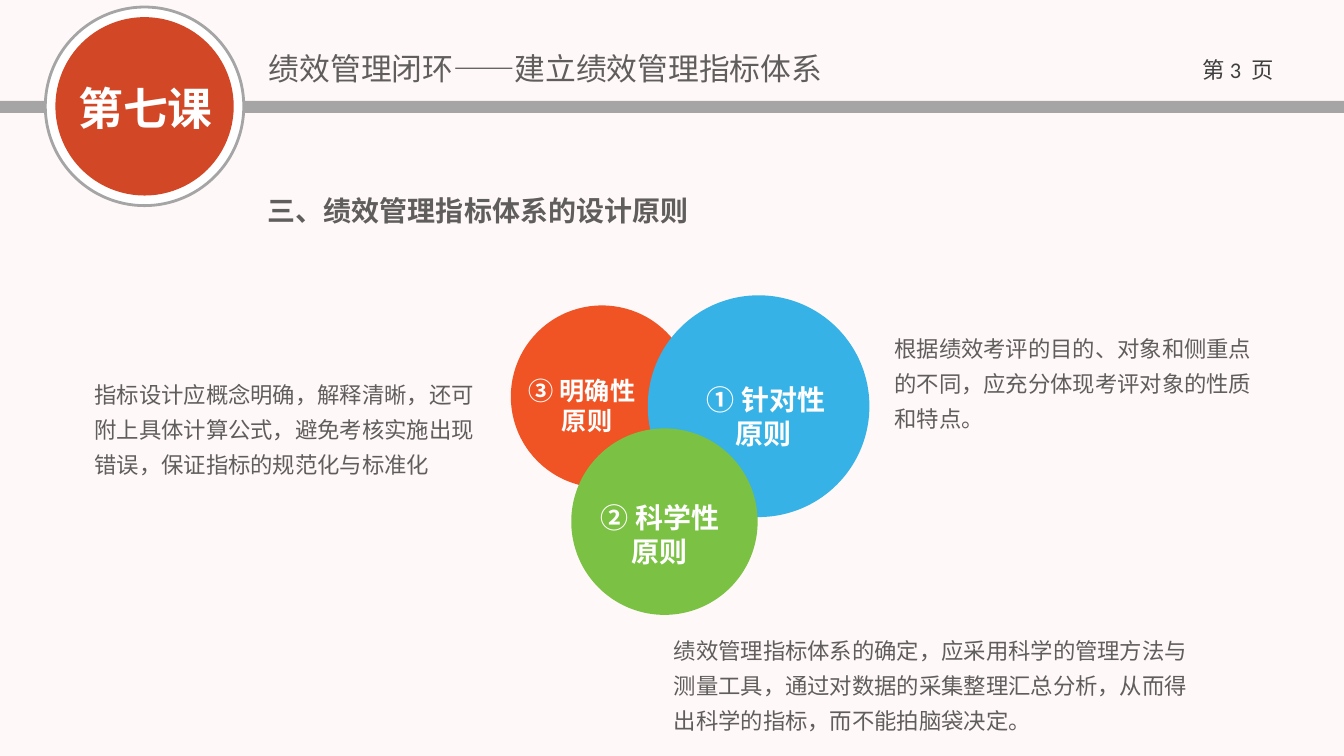
import pptx
import pptx.dml.color
import pptx.enum.shapes
import pptx.enum.text
import pptx.oxml
import pptx.oxml.ns
import pptx.util

Inches = pptx.util.Inches
Pt = pptx.util.Pt
ALIGN = pptx.enum.text.PP_ALIGN
OVAL = pptx.enum.shapes.MSO_SHAPE.OVAL
RECTANGLE = pptx.enum.shapes.MSO_SHAPE.RECTANGLE
CJK = "Noto Sans CJK SC"
GREY = "5F5E5C"
WHITE = "FFFFFF"
RULE = "A5A5A5"


def color(value):
    return pptx.dml.color.RGBColor.from_string(value)


def add_figure(s, kind, box, fill, line=None):
    sp = s.shapes.add_shape(kind, *map(Inches, box))
    sp.shadow.inherit = False
    sp.fill.solid()
    sp.fill.fore_color.rgb = color(fill)
    if line:
        sp.line.color.rgb = color(line)
        sp.line.width = Pt(2)
    else:
        sp.line.fill.background()
    return sp


def add_frame(s, box):
    tf = s.shapes.add_textbox(*map(Inches, box)).text_frame
    tf.word_wrap = True
    return tf


def add_run(p, text, size, hue, bold=False, font=CJK):
    r = p.add_run()
    r.text = text
    r.font.size = Pt(size)
    r.font.bold = bold
    r.font.color.rgb = color(hue)
    r.font.name = font
    ea = pptx.oxml.parse_xml(
        f'<a:ea {pptx.oxml.ns.nsdecls("a")} typeface="{CJK}"/>')
    r.font._element.append(ea)
    return r


def add_text(s, box, text, size, hue=GREY, bold=False, spacing=None):
    p = add_frame(s, box).paragraphs[0]
    if spacing:
        p.line_spacing = spacing
    add_run(p, text, size, hue, bold)


def add_header(s, left, top, width):
    add_figure(s, RECTANGLE, (left, top + 1, width, 0.12), RULE)
    add_figure(s, OVAL, (left + 0.45, top + 0.07, 1.97, 1.97), WHITE, RULE)
    add_figure(s, OVAL, (left + 0.55, top + 0.17, 1.77, 1.77), "D24726")
    add_text(s, (left + 0.68, top + 0.75, 1.57, 1.17), "第七课", 32, WHITE, True)
    add_text(s, (left + 2.57, top + 0.44, 6.85, 0.47),
             "绩效管理闭环——建立绩效管理指标体系", 22)


def add_page_number(s, box):
    p = add_frame(s, box).paragraphs[0]
    p.alignment = ALIGN.CENTER
    add_run(p, "第 ", 16, "3F3F3F")
    number = add_run(p, "3 ", 16, "3F3F3F", font="Calibri")
    number.font._element.set("spc", "180")
    add_run(p, "页", 16, "3F3F3F")


def add_label(s, box, size, lines):
    tf = add_frame(s, box)
    for i, (text, align, indent) in enumerate(lines):
        p = tf.add_paragraph() if i else tf.paragraphs[0]
        p.alignment = align
        if indent:
            p._p.get_or_add_pPr().set("marL", str(Inches(indent)))
        add_run(p, text, size, WHITE, True)


def add_principles(s, left, top):
    circles = [
        (0, 0.1, 1.81, "F05425"),
        (1.36, 0, 2.2, "36B2E6"),
        (0.6, 1.32, 1.85, "7BC143"),
    ]
    for x, y, size, fill in circles:
        add_figure(s, OVAL, (left + x, top + y, size, size), fill)
    labels = [
        (0.49, 1.99, 1.98, 0.77, 20,
         [("② 科学性", ALIGN.CENTER, 0), ("原则", ALIGN.CENTER, 0)]),
        (0.08, 0.74, 1.36, 0.7, 18,
         [("③ 明确性", ALIGN.LEFT, 0), ("原则", ALIGN.LEFT, 0.33)]),
        (1.68, 0.82, 1.54, 0.77, 20,
         [("① 针对性", ALIGN.RIGHT, 0), ("原则", ALIGN.CENTER, 0.12)]),
    ]
    for x, y, width, height, size, lines in labels:
        add_label(s, (left + x, top + y, width, height), size, lines)


def add_explanations(s):
    explanations = [
        ((8.78, 3.2, 3.77, 1.14),
         "根据绩效考评的目的、对象和侧重点的不同，应充分体现考评对象的性质和特点。"),
        ((6.59, 6.19, 5.51, 1.14),
         "绩效管理指标体系的确定，应采用科学的管理方法与测量工具，"
         "通过对数据的采集整理汇总分析，从而得出科学的指标，而不能拍脑袋决定。"),
        ((0.84, 3.65, 4.13, 1.14),
         "指标设计应概念明确，解释清晰，还可附上具体计算公式，"
         "避免考核实施出现错误，保证指标的规范化与标准化"),
    ]
    for box, text in explanations:
        add_text(s, box, text, 16, spacing=1.3)


def main():
    prs = pptx.Presentation()
    prs.slide_width = Inches(13.34)
    prs.slide_height = Inches(7.5)
    s = prs.slides.add_slide(prs.slide_layouts[6])
    s.background.fill.solid()
    s.background.fill.fore_color.rgb = color("FFF8F8")
    add_header(s, 0, 0, 13.34)
    add_page_number(s, (11.69, 0.51, 1.2, 0.4))
    add_text(s, (2.56, 1.77, 4.88, 0.54), "三、绩效管理指标体系的设计原则",
             20, bold=True, spacing=1.3)
    add_principles(s, 5.07, 2.93)
    add_explanations(s)
    prs.save("out.pptx")


if __name__ == "__main__":
    main()
